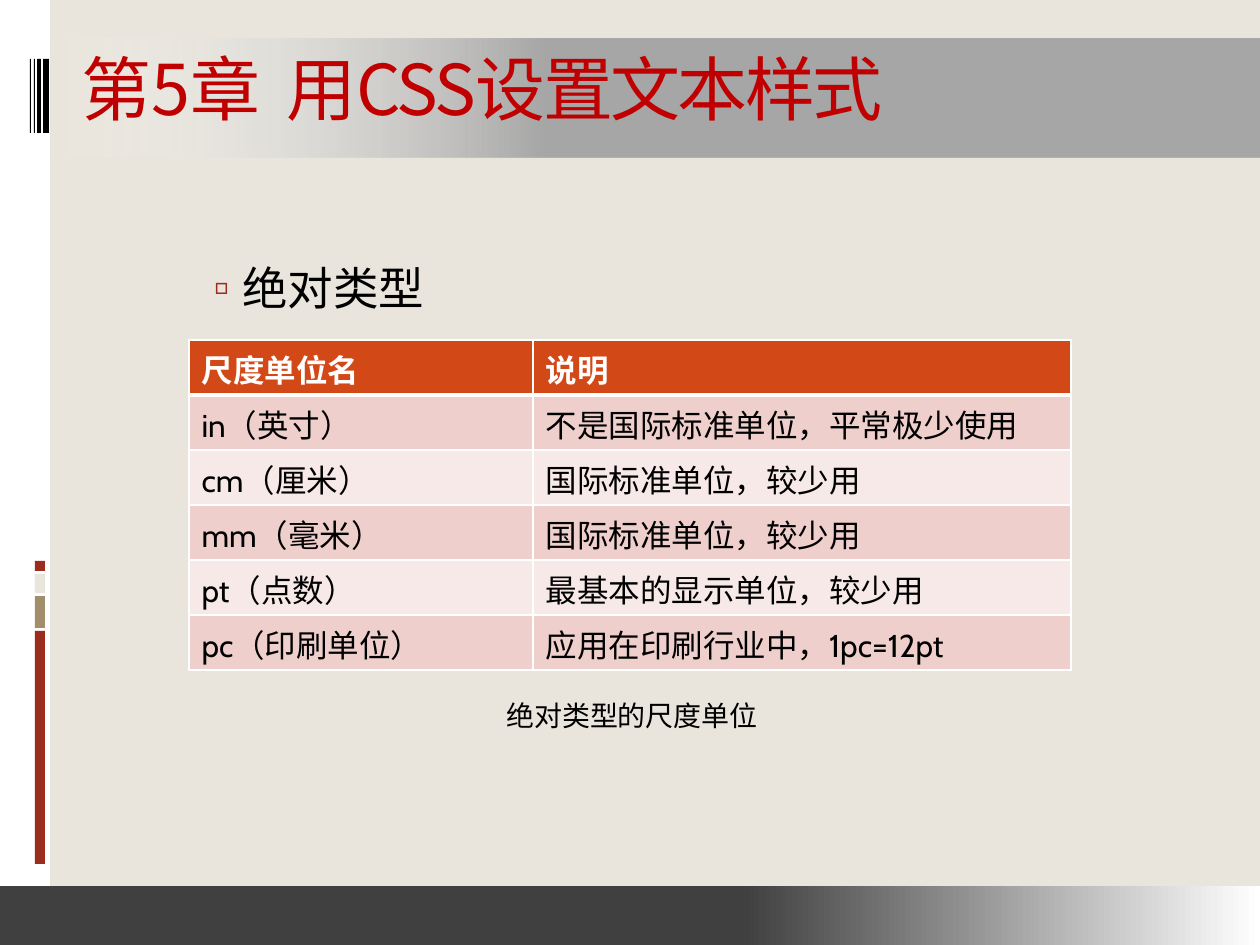
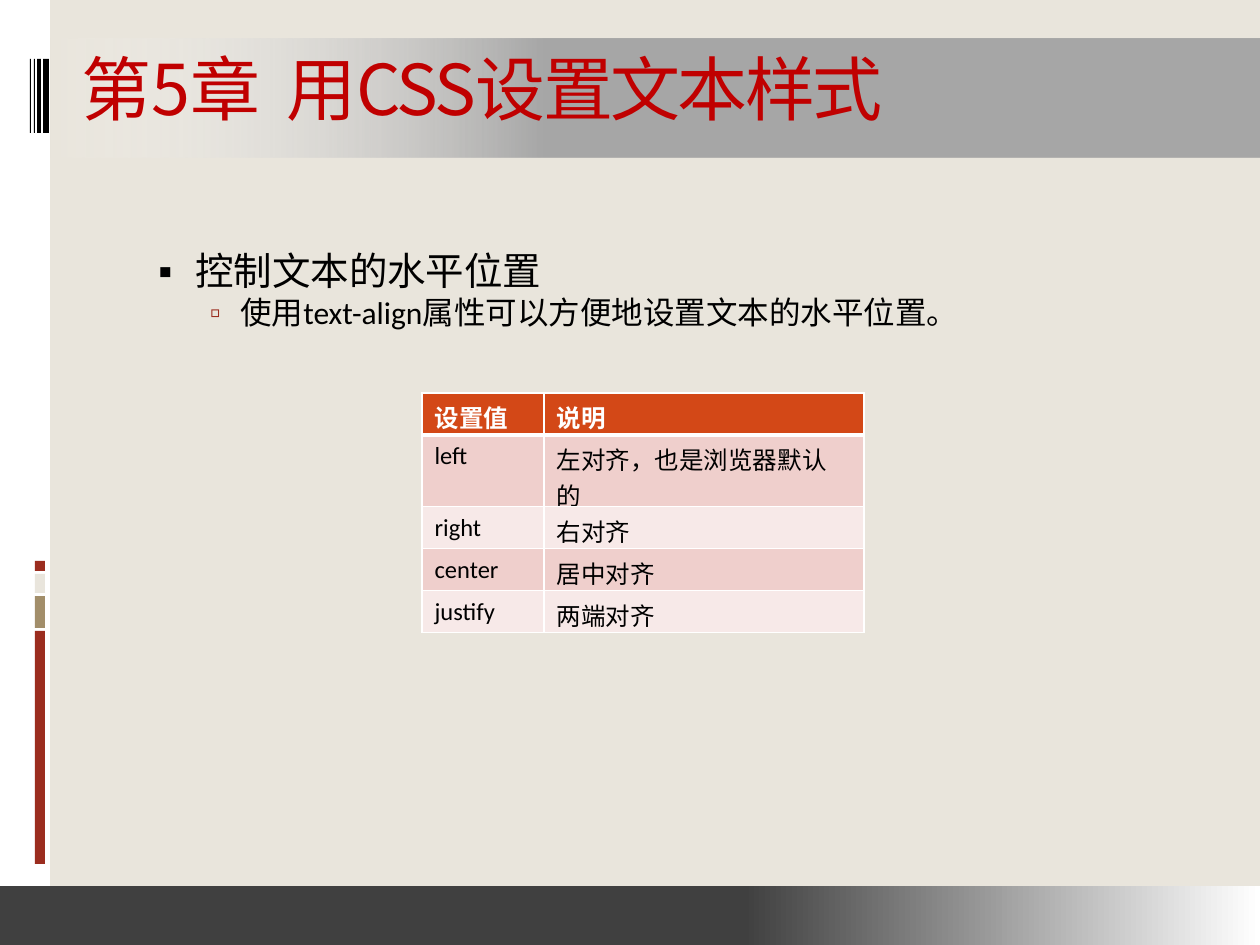
from lxml.etree import SubElement
from pptx import Presentation
from pptx.dml.color import RGBColor as RGB
from pptx.enum.shapes import MSO_SHAPE as Shape
from pptx.enum.text import MSO_ANCHOR as Anchor
from pptx.oxml import parse_xml
from pptx.oxml.ns import nsdecls, qn
from pptx.util import Emu, Pt

SCALE = 914400 / 126
CJK = "Noto Sans CJK SC"
COLORS = {
    "paper": "E9E5DC", "white": "FFFFFF", "black": "000000", "rust": "9B2D1F",
    "tan": "A28E6A", "title": "C00000", "gray": "A6A6A6", "dark": "404040",
    "header": "D34817", "odd": "EFCFCC", "even": "F7E9E8",
}
SIDE_BLOCKS = [("rust", 631, 233), ("tan", 596, 32), ("paper", 574, 19), ("rust", 561, 10)]
BARCODE = [(43, 6), (37, 4), (34, 1), (30, 1)]
TITLE = [("第5章", -150), (" ", 600), ("用CSS设置文本样式", -150)]
BULLETS = {
    0: dict(char="▪", color="black", pct=95, left=57, hang=48),
    1: dict(char="▫", color="rust", pct=90, left=102, hang=39),
}
ABSOLUTE_UNITS = [
    ("尺度单位名", "说明"),
    ("in（英寸）", "不是国际标准单位，平常极少使用"),
    ("cm（厘米）", "国际标准单位，较少用"),
    ("mm（毫米）", "国际标准单位，较少用"),
    ("pt（点数）", "最基本的显示单位，较少用"),
    ("pc（印刷单位）", "应用在印刷行业中，1pc=12pt"),
]
ALIGN_VALUES = [
    ("设置值", "说明"),
    ("left", "左对齐，也是浏览器默认的"),
    ("right", "右对齐"),
    ("center", "居中对齐"),
    ("justify", "两端对齐"),
]


def px(n):
    return Emu(round(n * SCALE))


def rgb(name):
    return RGB.from_string(COLORS[name])


class Deck:
    def __init__(self):
        self.prs = Presentation()
        self.prs.slide_width, self.prs.slide_height = px(1260), px(945)
        self.s = None

    def slide(self):
        self.s = self.prs.slides.add_slide(self.prs.slide_layouts[6])
        fill = self.s.background.fill
        fill.solid()
        fill.fore_color.rgb = rgb("paper")
        self.rect("white", 0, 0, 50, 945)
        for color, y, h in SIDE_BLOCKS:
            self.rect(color, 35, y, 10, h)
        for x, w in BARCODE:
            self.rect("black", x, 59, w, 74)
        self.band("gray", 49, 39, 1211, 119, rotation=180, alpha=0)
        self.band("dark", 0, 886, 1260, 59)
        self.title()

    def rect(self, color, x, y, w, h):
        sp = self.s.shapes.add_shape(Shape.RECTANGLE, px(x), px(y), px(w), px(h))
        sp.shadow.inherit = False
        sp.line.fill.background()
        sp.fill.solid()
        sp.fill.fore_color.rgb = rgb(color)
        return sp

    def band(self, color, x, y, w, h, rotation=0, alpha=100):
        sp = self.rect(color, x, y, w, h)
        sp.rotation = rotation
        sp.fill.gradient()
        sp.fill.gradient_angle = 0
        stops = sp.fill.gradient_stops
        for stop, name, position in zip(stops, (color, "white"), (0.59, 1)):
            stop.color.rgb = rgb(name)
            stop.position = position
        if alpha < 100:
            clr = sp.fill._xPr.findall(".//" + qn("a:srgbClr"))[-1]
            SubElement(clr, qn("a:alpha"), val=str(alpha * 1000))

    def run(self, p, text, size, font, color="black", bold=False):
        r = p.add_run()
        r.text = text
        for key, value in dict(size=Pt(size), name=font, bold=bold).items():
            setattr(r.font, key, value)
        r.font.color.rgb = rgb(color)
        rPr = r.font._element
        SubElement(rPr, qn("a:ea"), typeface=CJK)
        return rPr

    def box(self, x, y, w, h, wrap=True):
        tf = self.s.shapes.add_textbox(px(x), px(y), px(w), px(h)).text_frame
        tf.word_wrap = wrap
        return tf

    def title(self):
        tf = self.box(69, 39, 1071, 97)
        tf.vertical_anchor = Anchor.MIDDLE
        for text, spacing in TITLE:
            self.run(tf.paragraphs[0], text, 40, CJK, "title").set("spc", str(spacing))

    def body(self, items, line_spacing):
        tf = self.box(126, 246, 1071, 630)
        for i, (level, text, size, font) in enumerate(items):
            p = tf.add_paragraph() if i else tf.paragraphs[0]
            p.line_spacing = line_spacing
            p.space_before = Pt(2 if i else 0)
            self.run(p, text, size, font)
            self.bullet(p, level, **BULLETS[level])

    def bullet(self, p, level, char, color, pct, left, hang):
        p.level = level
        pPr = p._p.get_or_add_pPr()
        pPr.set("marL", str(px(left)))
        pPr.set("indent", str(-px(hang)))
        SubElement(SubElement(pPr, qn("a:buClr")), qn("a:srgbClr"), val=COLORS[color])
        SubElement(pPr, qn("a:buSzPct"), val=str(pct * 1000))
        SubElement(pPr, qn("a:buFont"), typeface=CJK)
        SubElement(pPr, qn("a:buChar"), char=char)

    def table(self, rows, x, y, widths, row_height, size, font):
        frame = self.s.shapes.add_table(len(rows), len(widths), px(x), px(y),
                                        px(sum(widths)), px(row_height * len(rows)))
        tbl = frame.table
        for column, width in zip(tbl.columns, widths):
            column.width = px(width)
        for i, row in enumerate(rows):
            head = i == 0
            fill = "header" if head else ("even", "odd")[i % 2]
            for j, text in enumerate(row):
                cell = tbl.cell(i, j)
                cell.fill.solid()
                cell.fill.fore_color.rgb = rgb(fill)
                self.run(cell.text_frame.paragraphs[0], text, size, font,
                         "white" if head else "black", head)
                self.borders(cell, top=3 if i == 1 else 1, bottom=3 if head else 1)

    def borders(self, cell, top, bottom):
        tcPr = cell._tc.get_or_add_tcPr()
        for i, (side, width) in enumerate(zip("LRTB", (1, 1, top, bottom))):
            tcPr.insert(i, parse_xml(
                f'<a:ln{side} {nsdecls("a")} w="{Pt(width)}"><a:solidFill>'
                f'<a:srgbClr val="{COLORS["white"]}"/></a:solidFill></a:ln{side}>'))

    def caption(self, text, x, y, w, h):
        tf = self.box(x, y, w, h, wrap=False)
        self.run(tf.paragraphs[0], text, 16, "Cabin")


def main():
    deck = Deck()

    deck.slide()
    deck.body([(1, "绝对类型", 26, "Cabin")], 1.14)
    deck.table(ABSOLUTE_UNITS, 189, 340, (344, 538), 55, 18, "Cabin")
    deck.caption("绝对类型的尺度单位", 494, 692, 277, 47)

    deck.slide()
    deck.body([
        (0, "控制文本的水平位置", 22, "Cabin"),
        (1, "使用text-align属性可以方便地设置文本的水平位置。", 18, "Calibri"),
    ], 0.9)
    deck.table(ALIGN_VALUES, 422, 393, (122, 320), 42, 14, "Calibri")

    deck.prs.save("out.pptx")


if __name__ == "__main__":
    main()
